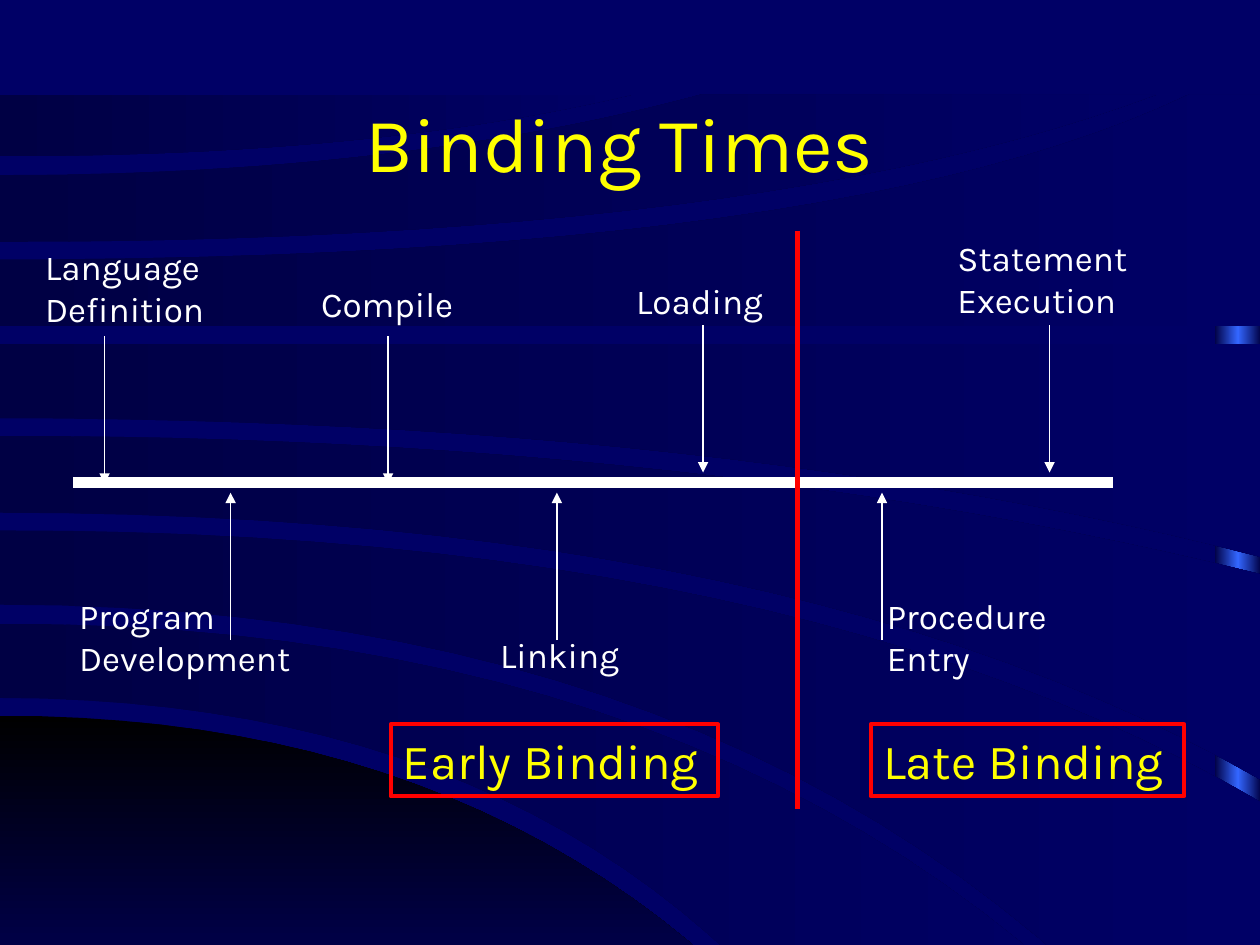
from copy import deepcopy

from pptx import Presentation
from pptx.dml.color import RGBColor
from pptx.enum.shapes import MSO_CONNECTOR as Connector, MSO_SHAPE as Shape
from pptx.enum.text import MSO_ANCHOR as Anchor, MSO_AUTO_SIZE as AutoSize, PP_ALIGN as Align
from pptx.oxml.ns import qn
from pptx.util import Inches, Pt

FONT = "Karla"
BLACK = RGBColor(0x00, 0x00, 0x00)
NAVY = RGBColor(0x00, 0x00, 0x66)
DARK_NAVY = RGBColor(0x00, 0x00, 0x44)
BLUE = RGBColor(0x33, 0x66, 0xFF)
WHITE = RGBColor(0xFF, 0xFF, 0xFF)
YELLOW = RGBColor(0xFF, 0xFF, 0x00)
RED = RGBColor(0xFF, 0x00, 0x00)

TITLE = "Binding Times"
# Label lines, label left, top and width, arrow x, arrow start y
EVENTS = [
    (["Language", "Definition"], 0.26, 1.9, 1.5, 0.83, 2.67),
    (["Program", "Development"], 0.53, 4.67, 1.96, 1.83, 5.08),
    (["Compile"], 2.45, 2.19, 1.27, 3.08, 2.67),
    (["Linking"], 3.87, 4.98, 1.15, 4.42, 5.08),
    (["Loading"], 4.95, 2.17, 1.25, 5.58, 2.58),
    (["Procedure", "Entry"], 6.94, 4.67, 1.56, 7, 5.08),
    (["Statement", "Execution"], 7.5, 1.83, 1.58, 8.33, 2.58),
]
PHASES = [("Early Binding", 3.1, 2.6), ("Late Binding", 6.91, 2.49)]
TIMELINE_Y = 3.83
ARROW_LENGTH = 1.17
LABEL_HEIGHTS = {1: 0.44, 2: 0.77}

# Each edge leaves the left side level: start y, bend x, end x, end y
HILL = (5.68, 3.98, 6.29, 8.27)
RIGHT = 10.01
# Upper edge, lower edge and right-hand corners of each sweeping band
BANDS = [
    ((4.95, 5.73, 8.94, 8.25), (5.54, 4.2, 6.43, 8.25), []),
    ((4.21, 6.32, RIGHT, 6.37), (4.8, 5.83, 9.1, 8.25), [(RIGHT, 8.25)]),
    ((3.46, 5.58, RIGHT, 4.56), (4.07, 6.32, RIGHT, 6.19), []),
    ((2.73, 5, RIGHT, 2.73), (3.32, 5.75, RIGHT, 4.42), []),
    ((2.06, 6.7, 9.44, 0.75), (2.59, 5, RIGHT, 2.59), [(RIGHT, 0.75)]),
    ((1.39, 3.2, 5.57, 0.75), (1.92, 6.07, 9.18, 0.75), []),
    ((0.75, 2.5, 5.02, 0.75), (1.24, 2.98, 5.02, 0.75), []),
]
CURVE_STEPS = 24


def place(shape, left, top, width, height):
    shape.left, shape.top = Inches(left), Inches(top)
    shape.width, shape.height = Inches(width), Inches(height)


def trace_edge(start_y, bend_x, end_x, end_y):
    """Return points along a quadratic curve that starts level at the left side."""
    steps = [step / CURVE_STEPS for step in range(CURVE_STEPS + 1)]
    return [(2 * t * (1 - t) * bend_x + t * t * end_x,
             start_y + t * t * (end_y - start_y)) for t in steps]


def paint_gradient(shape, colors, angle=0):
    """Fill a shape with evenly spaced colours and no outline."""
    shape.shadow.inherit = False
    shape.line.fill.background()
    shape.fill.gradient()
    shape.fill.gradient_angle = angle
    stop_list = shape.element.find(".//" + qn("a:gsLst"))
    while len(stop_list) < len(colors):
        stop_list.append(deepcopy(stop_list[-1]))
    for index, (stop, color) in enumerate(zip(shape.fill.gradient_stops, colors)):
        stop.color.rgb = color
        stop.position = index / (len(colors) - 1)


def add_outline(page, points):
    start, *rest = [(Inches(x), Inches(y)) for x, y in points]
    builder = page.shapes.build_freeform(*start)
    builder.add_line_segments(rest, close=True)
    return builder.convert_to_shape()


def add_line(page, start, end, color=WHITE, width=0.75, arrow=False):
    points = [Inches(value) for value in (*start, *end)]
    line = page.shapes.add_connector(Connector.STRAIGHT, *points)
    line.line.color.rgb = color
    line.line.width = Pt(width)
    properties = line.element.spPr
    if arrow:
        outline = properties.find(qn("a:ln"))
        outline.append(outline.makeelement(qn("a:tailEnd"), {"type": "triangle"}))
    properties.append(properties.makeelement(qn("a:effectLst")))


def write(shape, lines, size=20, color=WHITE, align=Align.LEFT, anchor=Anchor.TOP,
          wrap=False, auto_size=AutoSize.SHAPE_TO_FIT_TEXT):
    frame = shape.text_frame
    frame.auto_size = auto_size
    frame.word_wrap = wrap
    frame.vertical_anchor = anchor
    frame.text = "\n".join(lines)
    for para in frame.paragraphs:
        para.alignment = align
        para.font.name = FONT
        para.font.size = Pt(size)
        para.font.color.rgb = color


def add_scenery(page):
    stripe = page.shapes.add_shape(Shape.RECTANGLE, 0, 0, 0, 0)
    place(stripe, 9.64, 0.77, 0.37, 7.5)
    paint_gradient(stripe, [DARK_NAVY, BLUE, DARK_NAVY])
    hill = add_outline(page, trace_edge(*HILL) + [(0, HILL[-1])])
    paint_gradient(hill, [BLACK, NAVY], angle=270)
    for upper, lower, corners in BANDS:
        points = trace_edge(*upper) + corners + trace_edge(*lower)[::-1]
        paint_gradient(add_outline(page, points), [DARK_NAVY, NAVY])


def main():
    deck = Presentation()
    deck.slide_width, deck.slide_height = Inches(10), Inches(7.5)
    page = deck.slides.add_slide(deck.slide_layouts[5])
    page.background.fill.solid()
    page.background.fill.fore_color.rgb = NAVY
    add_scenery(page)

    title = page.shapes.title
    title.element.getparent().append(title.element)  # in front of the scenery
    place(title, 0.67, 0.5, 8.5, 1.25)
    write(title, [TITLE], size=44, color=YELLOW, align=Align.CENTER,
          anchor=Anchor.MIDDLE, wrap=True, auto_size=AutoSize.NONE)

    add_line(page, (0.58, TIMELINE_Y), (8.83, TIMELINE_Y), width=6)
    for lines, left, top, width, arrow_x, start_y in EVENTS:
        label = page.shapes.add_textbox(0, 0, 0, 0)
        place(label, left, top, width, LABEL_HEIGHTS[len(lines)])
        write(label, lines)
        direction = 1 if start_y < TIMELINE_Y else -1
        end_y = start_y + direction * ARROW_LENGTH
        add_line(page, (arrow_x, start_y), (arrow_x, end_y), arrow=True)

    add_line(page, (6.33, 1.83), (6.33, 6.42), color=RED, width=3)
    for name, left, width in PHASES:
        box = page.shapes.add_shape(Shape.RECTANGLE, 0, 0, 0, 0)
        place(box, left, 5.75, width, 0.57)
        box.shadow.inherit = False
        box.fill.background()
        box.line.color.rgb = RED
        box.line.width = Pt(2.25)
        write(box, [name], size=28, color=YELLOW)
    deck.save("out.pptx")


if __name__ == "__main__":
    main()
